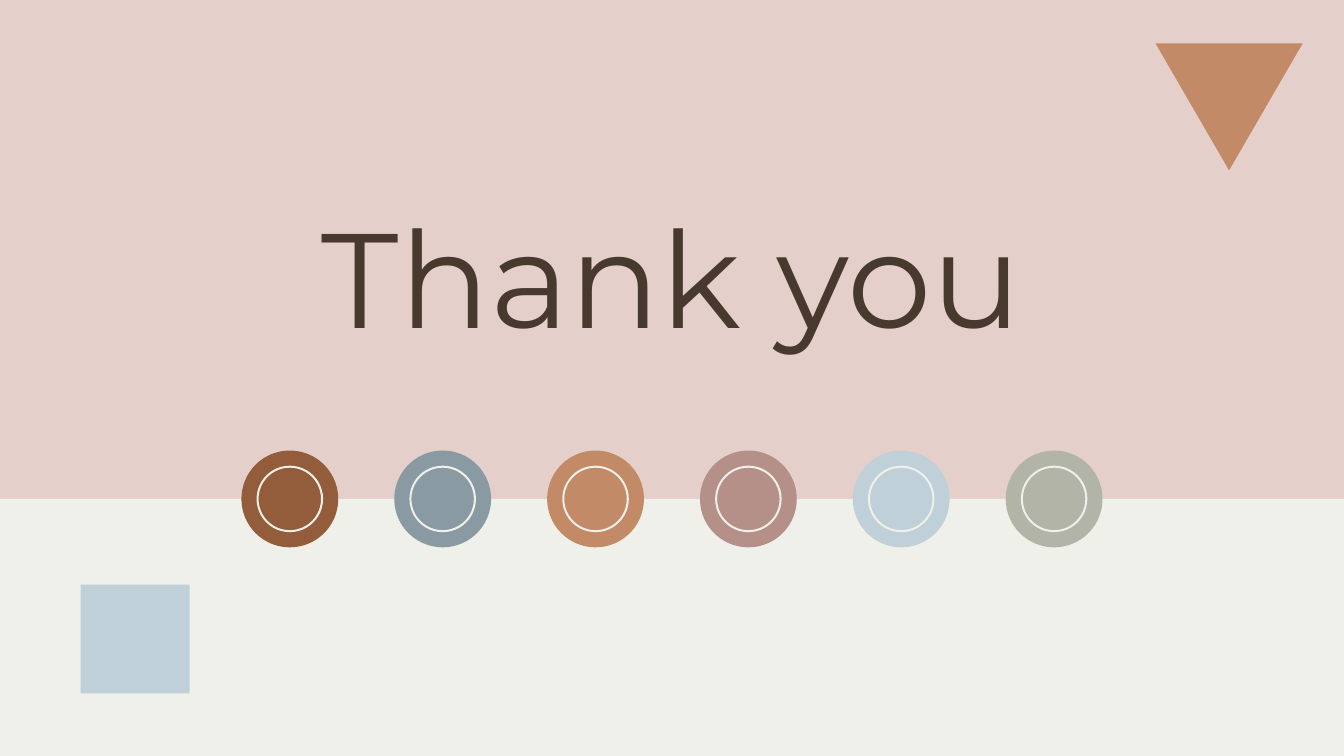
"""Build the closing slide: a thank-you title above a row of palette dots."""
from pptx import Presentation
from pptx.dml.color import RGBColor
from pptx.enum.shapes import MSO_SHAPE as Shape
from pptx.enum.text import MSO_ANCHOR as Anchor, MSO_AUTO_SIZE as AutoSize, PP_ALIGN as Align
from pptx.util import Inches, Pt

TITLE = "Thank you"
FONT = "Montserrat"
COLORS = {
    "blush": "E4CFCB", "ivory": "EEF0E9", "ink": "48392E", "rust": "935C3B",
    "slate": "899AA3", "clay": "C38A67", "mauve": "B59089", "sky": "C0D0D8", "sage": "B1B4A6",
}
DOTS = ["rust", "slate", "clay", "mauve", "sky", "sage"]
WIDTH, HEIGHT = 13.33, 7.5
HORIZON = 0.66 * HEIGHT
DOT_SIZE, RING_SIZE, RING_WEIGHT = 0.96, 0.66, 0.02
DOT_PITCH = 1.516


def color(name):
    return RGBColor.from_string(COLORS[name])


def add_figure(page, kind, left, top, width, height, fill):
    figure = page.shapes.add_shape(kind, *map(Inches, (left, top, width, height)))
    figure.shadow.inherit = False
    figure.fill.solid()
    figure.fill.fore_color.rgb = color(fill)
    figure.line.fill.background()
    return figure


def add_centred(page, kind, center, size, fill):
    return add_figure(page, kind, center - size / 2, HORIZON - size / 2, size, size, fill)


def add_title(page):
    title = page.shapes.title
    title.left, title.top, title.width, title.height = map(Inches, (1.87, 1.46, 9.59, 2.2))
    frame = title.text_frame
    frame.word_wrap = True
    frame.auto_size = AutoSize.NONE
    frame.vertical_anchor = Anchor.BOTTOM
    frame.margin_left = frame.margin_right = frame.margin_top = frame.margin_bottom = Inches(0.13)
    para = frame.paragraphs[0]
    para.alignment = Align.CENTER
    span = para.add_run()
    span.text = TITLE
    span.font.name = FONT
    span.font.size = Pt(96)
    span.font.color.rgb = color("ink")


def main():
    deck = Presentation()
    deck.slide_width, deck.slide_height = Inches(WIDTH), Inches(HEIGHT)
    page = deck.slides.add_slide(deck.slide_layouts[5])
    page.background.fill.solid()
    page.background.fill.fore_color.rgb = color("blush")
    add_figure(page, Shape.RECTANGLE, 0, HORIZON, WIDTH, HEIGHT - HORIZON, "ivory")
    add_title(page)

    first = WIDTH / 2 - DOT_PITCH * (len(DOTS) - 1) / 2
    for index, name in enumerate(DOTS):
        center = first + index * DOT_PITCH
        add_centred(page, Shape.OVAL, center, DOT_SIZE, name)
        ring = add_centred(page, Shape.DONUT, center, RING_SIZE, "ivory")
        ring.adjustments[0] = RING_WEIGHT / RING_SIZE

    add_figure(page, Shape.ISOSCELES_TRIANGLE, 11.46, 0.43, 1.46, 1.26, "clay").rotation = 180
    add_figure(page, Shape.RECTANGLE, 0.8, 5.8, 1.08, 1.08, "sky")
    deck.save("out.pptx")


if __name__ == "__main__":
    main()
